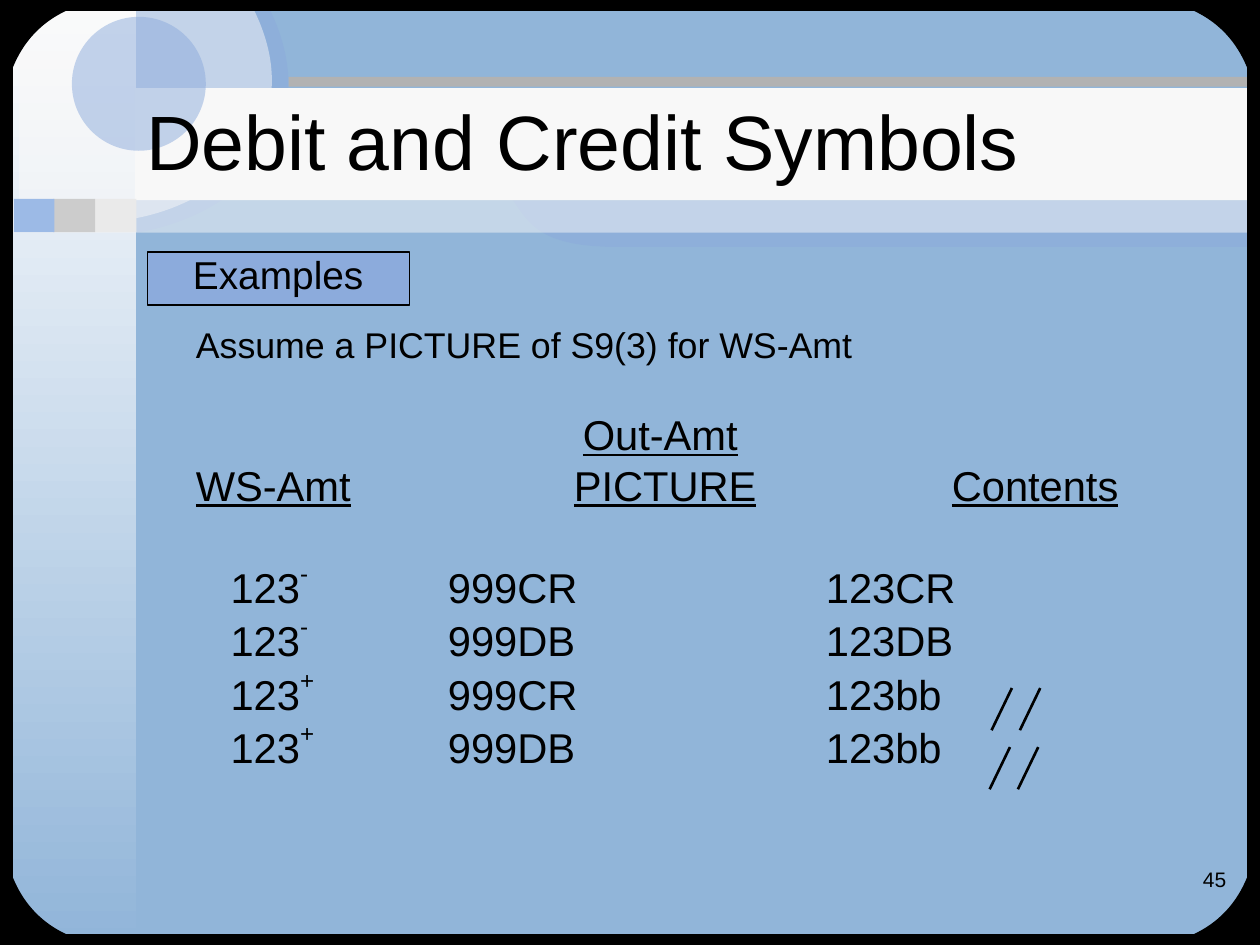
from lxml.etree import SubElement
from pptx import Presentation
from pptx.dml.color import RGBColor
from pptx.enum.shapes import MSO_CONNECTOR, MSO_SHAPE
from pptx.enum.text import MSO_ANCHOR as Anchor, PP_ALIGN as Align
from pptx.oxml.ns import qn
from pptx.util import Cm, Pt

WIDTH, HEIGHT = 25.4, 19.05
BLACK, SKY, BLUE, PALE = "000000", "91B5D9", "8CABDC", "F8F8F8"
BODY_SIZE = 23.8
HEADING_TABS = (7.62, 15.24)
ROW_TABS = (0.7, 5.08, 12.7)
ROWS = [("-", "999CR", "123CR"), ("-", "999DB", "123DB"),
        ("+", "999CR", "123bb"), ("+", "999DB", "123bb")]


def rgb(color):
    return RGBColor.from_string(color)


def paint(shape, color, alpha=None, line=None):
    """Fill a shape, with alpha in percent, and outline it if a line colour is given."""
    shape.shadow.inherit = False
    shape.fill.solid()
    shape.fill.fore_color.rgb = rgb(color)
    if alpha:
        tint = shape.fill._xPr.find(".//" + qn("a:srgbClr"))
        SubElement(tint, qn("a:alpha")).set("val", str(alpha * 1000))
    if line:
        shape.line.color.rgb = rgb(line)
        shape.line.width = Pt(0.75)
    else:
        shape.line.fill.background()


def add_preset(slide, place, color, alpha=None, line=None, kind=MSO_SHAPE.RECTANGLE):
    shape = slide.shapes.add_shape(kind, *map(Cm, place))
    paint(shape, color, alpha, line)
    return shape


def add_curved(slide, curve, corners, color, alpha=None, line=None):
    """Draw a cubic curve (four control points), closed through straight corners."""
    points = [(Cm(x), Cm(y)) for x, y in curve + corners]
    builder = slide.shapes.build_freeform(*points[0])
    builder.add_line_segments(points[1:], close=True)
    shape = builder.convert_to_shape()
    outline = shape._element.find(".//" + qn("a:path"))
    first, *others = outline.findall(qn("a:lnTo"))[:3]
    first.tag = qn("a:cubicBezTo")
    for segment in others:
        first.append(segment[0])
        outline.remove(segment)
    paint(shape, color, alpha, line)


def add_slash(slide, x, y):
    slash = slide.shapes.add_connector(
        MSO_CONNECTOR.STRAIGHT, Cm(x), Cm(y), Cm(x - 0.41), Cm(y + 0.85))
    slash.line.color.rgb = rgb(BLACK)
    slash.line.width = Pt(1.5)
    SubElement(slash._element.spPr, qn("a:effectLst"))


def set_font(para, size):
    para.font.name = "Arial"
    para.font.size = Pt(size)
    para.font.color.rgb = rgb(BLACK)


def add_box(slide, place):
    box = slide.shapes.add_textbox(*map(Cm, place))
    box.text_frame.word_wrap = True
    return box.text_frame


def add_para(frame, spans, size=BODY_SIZE, before=0, tabs=()):
    """Add a paragraph of (text, style) spans; style is "u", "sup" or empty."""
    para = frame.paragraphs[0]
    if para.runs:
        para = frame.add_paragraph()
    set_font(para, size)
    para.space_before = Pt(before)
    if tabs:
        stops = SubElement(para._p.get_or_add_pPr(), qn("a:tabLst"))
        para._p.pPr.insert_element_before(stops, "a:defRPr")
        for tab in tabs:
            SubElement(stops, qn("a:tab"), pos=str(Cm(tab)), algn="l")
    for text, style in spans:
        span = para.add_run()
        span.text = text
        if style == "u":
            span.font.underline = True
        elif style == "sup":
            span.font._element.set("baseline", "50000")


def add_background(slide):
    slide.background.fill.solid()
    slide.background.fill.fore_color.rgb = rgb(SKY)
    add_curved(slide, [(12.47, 4.98), (10.9, 4.98), (10.67, 4.52), (10.34, 4.04)],
               [(25.17, 4.04), (25.17, 4.98)], BLUE, 50)
    add_curved(slide, [(5.41, 0.13), (7.14, 3.58), (2.95, 5.61), (0.38, 4.39)],
               [(0.38, 0.13)], BLUE, 50)
    add_preset(slide, (5.82, 1.55, 19.58, 0.2), "B2B2B2")
    side = add_preset(slide, (0, 0, 2.74, HEIGHT), PALE)
    side.fill.gradient()
    side.fill.gradient_angle = 270
    for stop, color, position in zip(side.fill.gradient_stops, ("FEFEFE", SKY), (0, 1)):
        stop.color.rgb = rgb(color)
        stop.position = position
    add_preset(slide, (0, 4.04, WIDTH, 0.65), PALE, 50)
    add_preset(slide, (2.72, 1.78, 22.68, 2.26), PALE)
    add_curved(slide, [(5.11, 0.18), (6.71, 3.4), (2.77, 5.28), (0.38, 4.14)],
               [(0.38, 0.18)], PALE, 50)
    add_preset(slide, (1.45, 0.34, 2.7, 2.7), BLUE, 50, kind=MSO_SHAPE.OVAL)
    for left, width, color in ((1.91, 0.84, "EAEAEA"), (1.07, 0.85, "CCCCCC"),
                               (0.28, 0.82, "9CBAE6")):
        add_preset(slide, (left, 4.01, width, 0.67), color)


def add_frame(slide):
    """Draw the black border with its four rounded corners."""
    for place in ((0, 0, 0.25, HEIGHT), (WIDTH - 0.25, 0, 0.25, HEIGHT),
                  (0, 0, WIDTH, 0.21), (0, HEIGHT - 0.21, WIDTH, 0.21)):
        add_preset(slide, place, BLACK, line=BLACK)
    curve = [(1.96, 0), (0.23, 0.36), (0.13, 1.78), (0, 2.24)]
    for right in (False, True):
        for bottom in (False, True):
            def mirror(points):
                return [(WIDTH - x if right else x, HEIGHT - y if bottom else y)
                        for x, y in points]
            add_curved(slide, mirror(curve), mirror([(0.03, 0)]), BLACK, line=BLACK)


def add_title(slide, text):
    title = slide.shapes.title
    slide.shapes._spTree.append(title._element)
    title.left, title.top, title.width, title.height = map(Cm, (2.69, 1.23, 22.1, 3.18))
    title.text_frame.text = text
    title.text_frame.vertical_anchor = Anchor.MIDDLE
    para = title.text_frame.paragraphs[0]
    para.alignment = Align.LEFT
    set_font(para, 44)


def add_examples(slide):
    frame = add_box(slide, (3.7, 6.39, 20.6, 9.4))
    add_para(frame, [("Assume a PICTURE of S9(3) for WS-Amt", "")], size=20.4)
    add_para(frame, [("\t", ""), ("Out-Amt", "u")], before=24.3, tabs=(7.8,))
    add_para(frame, [("WS-Amt", "u"), ("\t", ""), ("PICTURE", "u"), ("\t", ""),
                     ("Contents", "u")], before=0.5, tabs=HEADING_TABS)
    for index, (sign, picture, contents) in enumerate(ROWS):
        add_para(frame, [("\t123", ""), (sign, "sup"), (f"\t{picture}\t{contents}", "")],
                 before=0 if index else 28, tabs=ROW_TABS)


def add_label(slide, text):
    label = add_preset(slide, (2.97, 5.08, 5.28, 1.07), BLUE, line=BLACK)
    label.text_frame.text = text
    label.text_frame.vertical_anchor = Anchor.MIDDLE
    para = label.text_frame.paragraphs[0]
    para.alignment = Align.CENTER
    para.line_spacing = 0.8
    set_font(para, 22.2)


def main():
    deck = Presentation()
    deck.slide_width, deck.slide_height = Cm(WIDTH), Cm(HEIGHT)
    slide = deck.slides.add_slide(deck.slide_layouts[5])
    add_background(slide)
    add_frame(slide)
    add_title(slide, "Debit and Credit Symbols")
    add_examples(slide)
    add_label(slide, "Examples")
    for x, y in ((20.4, 13.87), (20.36, 15.06)):
        add_slash(slide, x, y)
        add_slash(slide, x + 0.57, y)
    number = add_box(slide, (19.69, 17.35, 5.28, 1.27))
    add_para(number, [("45", "")], size=12)
    number.paragraphs[0].alignment = Align.RIGHT
    deck.save("out.pptx")


if __name__ == "__main__":
    main()
